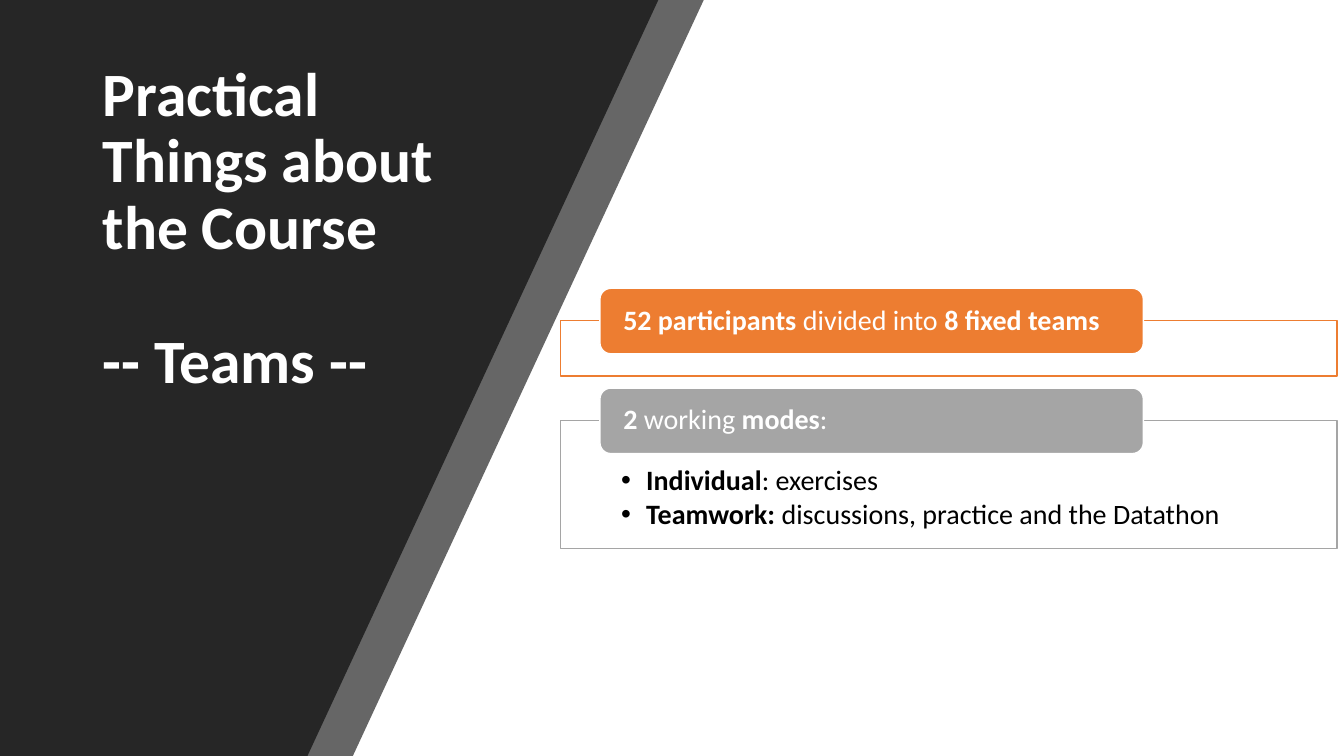
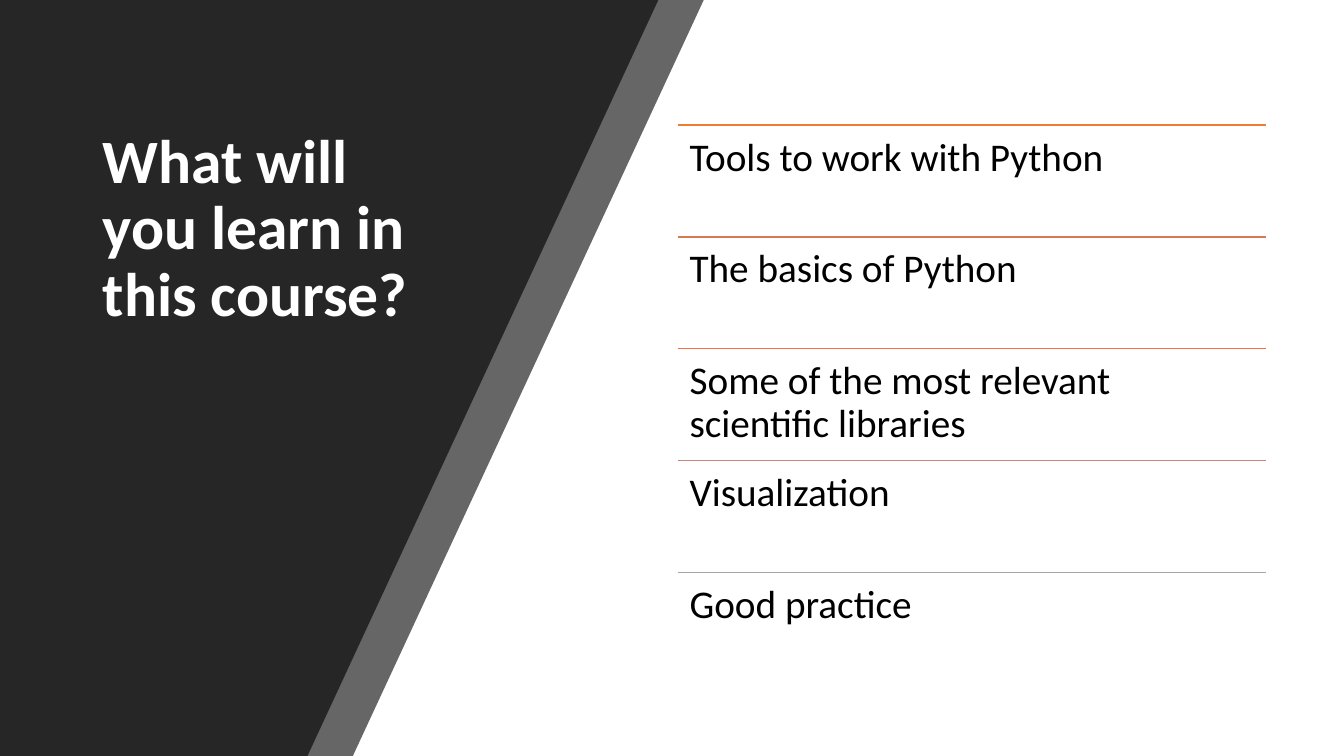
from lxml.etree import SubElement
from pptx import Presentation
from pptx.dml.color import RGBColor
from pptx.enum.shapes import MSO_CONNECTOR, MSO_SHAPE
from pptx.enum.text import MSO_ANCHOR, PP_ALIGN
from pptx.oxml.ns import qn
from pptx.util import Inches, Pt

FONT = "Calibri"
BLACK = RGBColor(0x00, 0x00, 0x00)
WHITE = RGBColor(0xFF, 0xFF, 0xFF)
DARK = RGBColor(0x26, 0x26, 0x26)
ORANGE = RGBColor(0xED, 0x7D, 0x31)
GRAY = RGBColor(0xA5, 0xA5, 0xA5)

SLIDE_WIDTH, SLIDE_HEIGHT = 13.33, 7.5

# Top and bottom right corners of each slanted panel, and its opacity in percent
PANELS = [(6.98, 3.5, 70), (6.53, 3.05, 100)]

TEAMS_TITLE = ["Practical Things about the Course", "-- Teams --"]
# A paragraph is a list of (text, bold) runs
TEAM_CARDS = [
    {"color": ORANGE, "top": 3.18, "height": 0.55, "bullets": [],
     "heading": [("52 participants ", True), ("divided into ", False),
                 ("8 fixed teams", True)]},
    {"color": GRAY, "top": 4.17, "height": 1.27,
     "heading": [("2", True), (" working ", False), ("modes", True), (":", False)],
     "bullets": [[("Individual", True), (": exercises", False)],
                 [("Teamwork:", True),
                  (" discussions, practice and the Datathon", False)]]},
]

TOPICS_TITLE = ["What will you learn in this course?"]
TOPICS = [
    ("Tools to work with Python", ORANGE),
    ("The basics of Python", RGBColor(0xD8, 0x7A, 0x51)),
    ("Some of the most relevant scientific libraries", RGBColor(0xC4, 0x81, 0x70)),
    ("Visualization", RGBColor(0xB4, 0x90, 0x8B)),
    ("Good practice", GRAY),
]
TOPIC_LEFT, TOPIC_TOP, TOPIC_WIDTH, TOPIC_STEP = 6.72, 1.24, 5.84, 1.11


def inches(*lengths):
    return [Inches(length) for length in lengths]


def style_shape(shape, fill, opacity=100, line=None):
    shape.shadow.inherit = False
    shape.fill.solid()
    shape.fill.fore_color.rgb = fill
    if opacity < 100:
        color = shape.fill._xPr.find(qn("a:solidFill"))[0]
        SubElement(color, qn("a:alpha"), val=str(opacity * 1000))
    if line is None:
        shape.line.fill.background()
    else:
        shape.line.color.rgb = line
        shape.line.width = Pt(1)


def add_bullet(paragraph):
    properties = paragraph._p.get_or_add_pPr()
    properties.set("marL", str(Inches(0.25)))
    properties.set("indent", str(-Inches(0.25)))
    SubElement(properties, qn("a:buFont"), typeface="Arial")
    SubElement(properties, qn("a:buChar"), char="•")


def write_text(shape, paragraphs, size, color, margins=(0.1, 0.05),
               anchor=MSO_ANCHOR.TOP, gap=0, bulleted=False):
    """Fill a shape; margins are (sides, top and bottom), gap is points between paragraphs."""
    frame = shape.text_frame
    sides, ends = inches(*margins)
    settings = {"word_wrap": True, "vertical_anchor": anchor,
                "margin_left": sides, "margin_right": sides,
                "margin_top": ends, "margin_bottom": ends}
    for name, value in settings.items():
        setattr(frame, name, value)
    for index, runs in enumerate(paragraphs):
        paragraph = frame.add_paragraph() if index else frame.paragraphs[0]
        paragraph.alignment = PP_ALIGN.LEFT
        paragraph.line_spacing = 0.9
        if index:
            paragraph.space_before = Pt(gap)
        if bulleted:
            add_bullet(paragraph)
        for text, bold in runs:
            run = paragraph.add_run()
            run.text = text
            for name, value in {"name": FONT, "size": Pt(size), "bold": bold}.items():
                setattr(run.font, name, value)
            run.font.color.rgb = color


def add_titled_slide(presentation, title):
    """Add a blank slide with the slanted panels and the title on them."""
    slide = presentation.slides.add_slide(presentation.slide_layouts[6])
    for top_right, bottom_right, opacity in PANELS:
        builder = slide.shapes.build_freeform(0, 0)
        builder.add_line_segments([
            inches(top_right, 0), inches(bottom_right, SLIDE_HEIGHT),
            inches(0, SLIDE_HEIGHT)])
        style_shape(builder.convert_to_shape(), DARK, opacity)
    box = slide.shapes.add_textbox(*inches(0.92, 0.48, 3.58, 3.6))
    write_text(box, [[(text, True)] for text in title], 44, WHITE,
               anchor=MSO_ANCHOR.MIDDLE, gap=48)
    return slide


def add_card(slide, card):
    body = slide.shapes.add_shape(
        MSO_SHAPE.RECTANGLE, *inches(5.56, card["top"], 7.7, card["height"]))
    style_shape(body, WHITE, 90, card["color"])
    if card["bullets"]:
        write_text(body, card["bullets"], 20, BLACK, (0.6, 0.46), gap=2.5, bulleted=True)
    heading = slide.shapes.add_shape(
        MSO_SHAPE.ROUNDED_RECTANGLE, *inches(5.95, card["top"] - 0.32, 5.39, 0.65))
    style_shape(heading, card["color"], line=WHITE)
    write_text(heading, [card["heading"]], 20, WHITE, (0.2, 0), MSO_ANCHOR.MIDDLE)


def add_topic(slide, top, text, color):
    rule = slide.shapes.add_connector(
        MSO_CONNECTOR.STRAIGHT, *inches(TOPIC_LEFT, top, TOPIC_LEFT + TOPIC_WIDTH, top))
    rule.line.color.rgb = color
    rule.line.width = Pt(1)
    SubElement(rule._element.spPr, qn("a:effectLst"))
    box = slide.shapes.add_textbox(*inches(TOPIC_LEFT, top, TOPIC_WIDTH, TOPIC_STEP))
    write_text(box, [[(text, False)]], 28, BLACK, (0.12, 0.12))


def main():
    presentation = Presentation()
    presentation.slide_width, presentation.slide_height = inches(SLIDE_WIDTH, SLIDE_HEIGHT)

    teams_slide = add_titled_slide(presentation, TEAMS_TITLE)
    for card in TEAM_CARDS:
        add_card(teams_slide, card)

    topics_slide = add_titled_slide(presentation, TOPICS_TITLE)
    for index, (text, color) in enumerate(TOPICS):
        add_topic(topics_slide, TOPIC_TOP + index * TOPIC_STEP, text, color)

    presentation.save("out.pptx")


if __name__ == "__main__":
    main()
